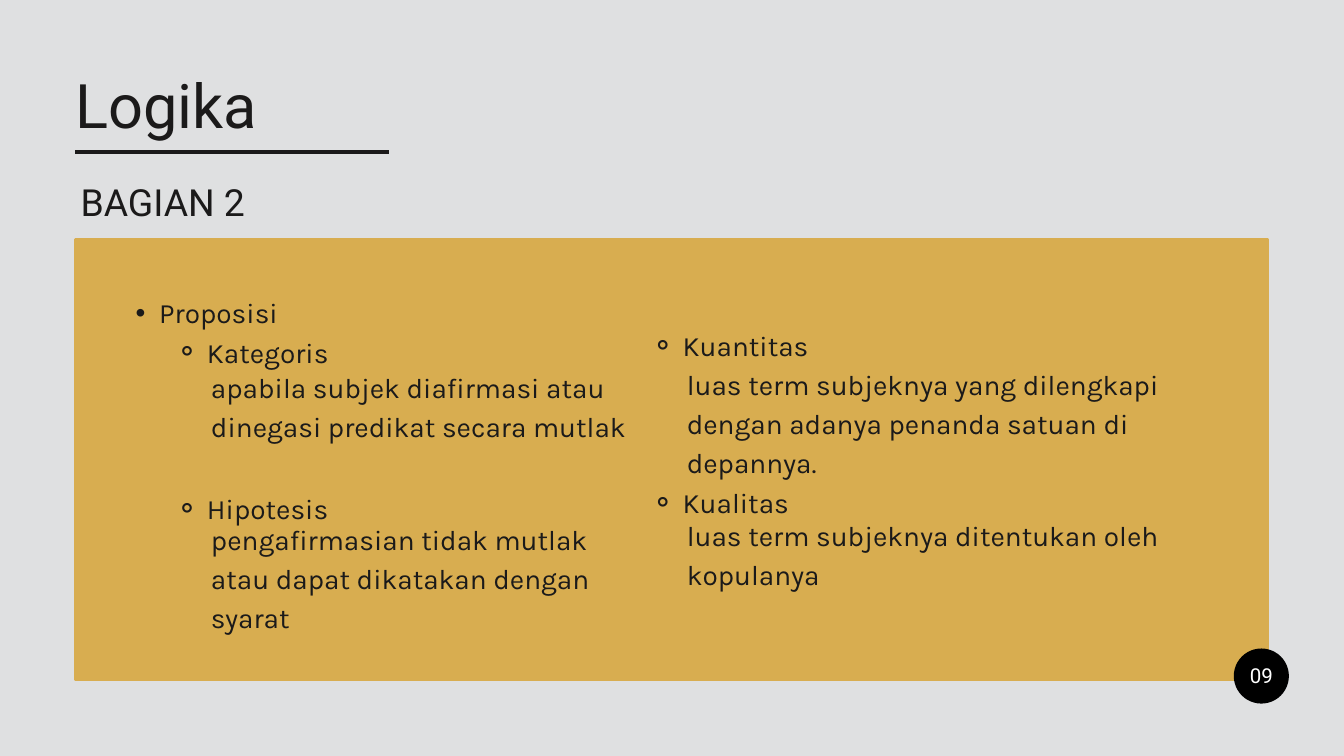
from lxml import etree
from pptx import Presentation
from pptx.dml.color import RGBColor
from pptx.enum.shapes import MSO_CONNECTOR, MSO_SHAPE
from pptx.enum.text import PP_ALIGN
from pptx.oxml.ns import qn
from pptx.util import Inches, Pt

STRAIGHT = MSO_CONNECTOR.STRAIGHT
RECTANGLE = MSO_SHAPE.RECTANGLE
OVAL = MSO_SHAPE.OVAL
LEFT = PP_ALIGN.LEFT
CENTER = PP_ALIGN.CENTER

COLORS = {"background": "DFE0E1", "ink": "1B1A1A", "panel": "D8AD50",
          "badge": "000000", "number": "FFFFFF"}
HEADING_FONT = "Roboto"
BODY_FONT = "Karla"
BODY_SIZE = 30
BODY_LEADING = 42
BULLETS = {1: ("•", 0.71, 0.35), 2: ("⚬", 1.42, 0.47)}


def color(name):
    """Return the named palette colour."""
    return RGBColor.from_string(COLORS[name])


def style_paragraph(paragraph, font, size, leading, ink="ink"):
    """Set the font, colour and exact line spacing of a paragraph."""
    paragraph.font.name = font
    paragraph.font.size = Pt(size)
    paragraph.font.color.rgb = color(ink)
    paragraph.line_spacing = Pt(leading)


def add_text_frame(slide, left, top, width, height):
    """Add a wrapping text box without margins and return its text frame."""
    box = slide.shapes.add_textbox(Inches(left), Inches(top), Inches(width), Inches(height))
    frame = box.text_frame
    frame.word_wrap = True
    frame.margin_left = frame.margin_right = frame.margin_top = frame.margin_bottom = 0
    return frame


def add_label(slide, box, text, font, size, leading, ink="ink", alignment=LEFT):
    """Add a text box that holds one paragraph."""
    paragraph = add_text_frame(slide, *box).paragraphs[0]
    paragraph.text = text
    paragraph.alignment = alignment
    style_paragraph(paragraph, font, size, leading, ink)


def add_filled_shape(slide, kind, box, fill):
    """Add a flat preset shape with a fill and no outline."""
    shape = slide.shapes.add_shape(kind, *(Inches(value) for value in box))
    shape.shadow.inherit = False
    shape.fill.solid()
    shape.fill.fore_color.rgb = color(fill)
    shape.line.fill.background()
    return shape


def add_bullet(paragraph, level):
    """Give a paragraph the bullet and hanging indent of its level."""
    character, margin, hanging = BULLETS[level]
    paragraph.level = level
    properties = paragraph._p.get_or_add_pPr()
    properties.set("marL", str(Inches(margin)))
    properties.set("indent", str(-Inches(hanging)))
    etree.SubElement(properties, qn("a:buFont")).set("typeface", "Arial")
    etree.SubElement(properties, qn("a:buChar")).set("char", character)


def add_header(slide, left, top):
    """Add the underlined title and the section name."""
    add_label(slide, (left, top, 6.42, 0.95), "Logika", HEADING_FONT, 65.7, 65.7)
    rule = slide.shapes.add_connector(STRAIGHT, Inches(left), Inches(top + 1.08),
                                      Inches(left + 4.67), Inches(top + 1.08))
    rule.line.color.rgb = color("ink")
    rule.line.width = Pt(3.75)
    etree.SubElement(rule._element.spPr, qn("a:effectLst"))
    add_label(slide, (left + 0.08, top + 1.6, 4.96, 0.59), "BAGIAN 2", HEADING_FONT, 40, 40)


def add_panel(slide, left, top, width, height):
    """Add the coloured content panel."""
    panel = add_filled_shape(slide, RECTANGLE, (left, top, width, height), "panel")
    panel.line.color.rgb = color("panel")
    panel.line.width = Pt(3)


def add_column(slide, left, top, width, height, terms, definitions):
    """Add bulleted terms and, beneath them, their definitions."""
    frame = add_text_frame(slide, left, top, width, height)
    for index, (level, term, skipped_lines) in enumerate(terms):
        paragraph = frame.add_paragraph() if index else frame.paragraphs[0]
        paragraph.text = term
        style_paragraph(paragraph, BODY_FONT, BODY_SIZE, BODY_LEADING)
        paragraph.space_before = Pt(skipped_lines * BODY_LEADING)
        add_bullet(paragraph, level)
    for offset, definition_width, definition_height, text in definitions:
        box = (left + 1.48, top + offset, definition_width, definition_height)
        add_label(slide, box, text, BODY_FONT, BODY_SIZE, BODY_LEADING)


def add_page_number(slide, left, top, size, number):
    """Add the round page number badge."""
    add_filled_shape(slide, OVAL, (left, top, size, size), "badge")
    add_label(slide, (left - 0.03, top + 0.27, size + 0.06, 0.34), number,
              HEADING_FONT, 22, 22, "number", CENTER)


def main():
    """Build and save the presentation."""
    presentation = Presentation()
    presentation.slide_width = Inches(20)
    presentation.slide_height = Inches(11.25)
    slide = presentation.slides.add_slide(presentation.slide_layouts[6])
    slide.background.fill.solid()
    slide.background.fill.fore_color.rgb = color("background")

    add_header(slide, 1.12, 1.18)
    add_panel(slide, 1.12, 3.56, 17.75, 6.56)
    add_page_number(slide, 18.36, 9.65, 0.82, "09")
    add_column(
        slide, 1.66, 4.32, 17.71, 3.97,
        [(1, "Proposisi", 0), (2, "Kategoris", 0), (2, "Hipotesis", 3)],
        [(1.11, 7.04, 1.11, "apabila subjek diafirmasi atau dinegasi predikat secara mutlak"),
         (3.37, 6.44, 1.14, "pengafirmasian tidak mutlak atau dapat dikatakan dengan syarat")])
    add_column(
        slide, 8.74, 4.81, 10.63, 3.4,
        [(2, "Kuantitas", 0), (2, "Kualitas", 3)],
        [(0.57, 8.18, 1.68, "luas term subjeknya yang dilengkapi dengan adanya penanda "
                            "satuan di depannya."),
         (2.82, 7.95, 1.68, "luas term subjeknya ditentukan oleh kopulanya")])

    presentation.save("out.pptx")


if __name__ == "__main__":
    main()
